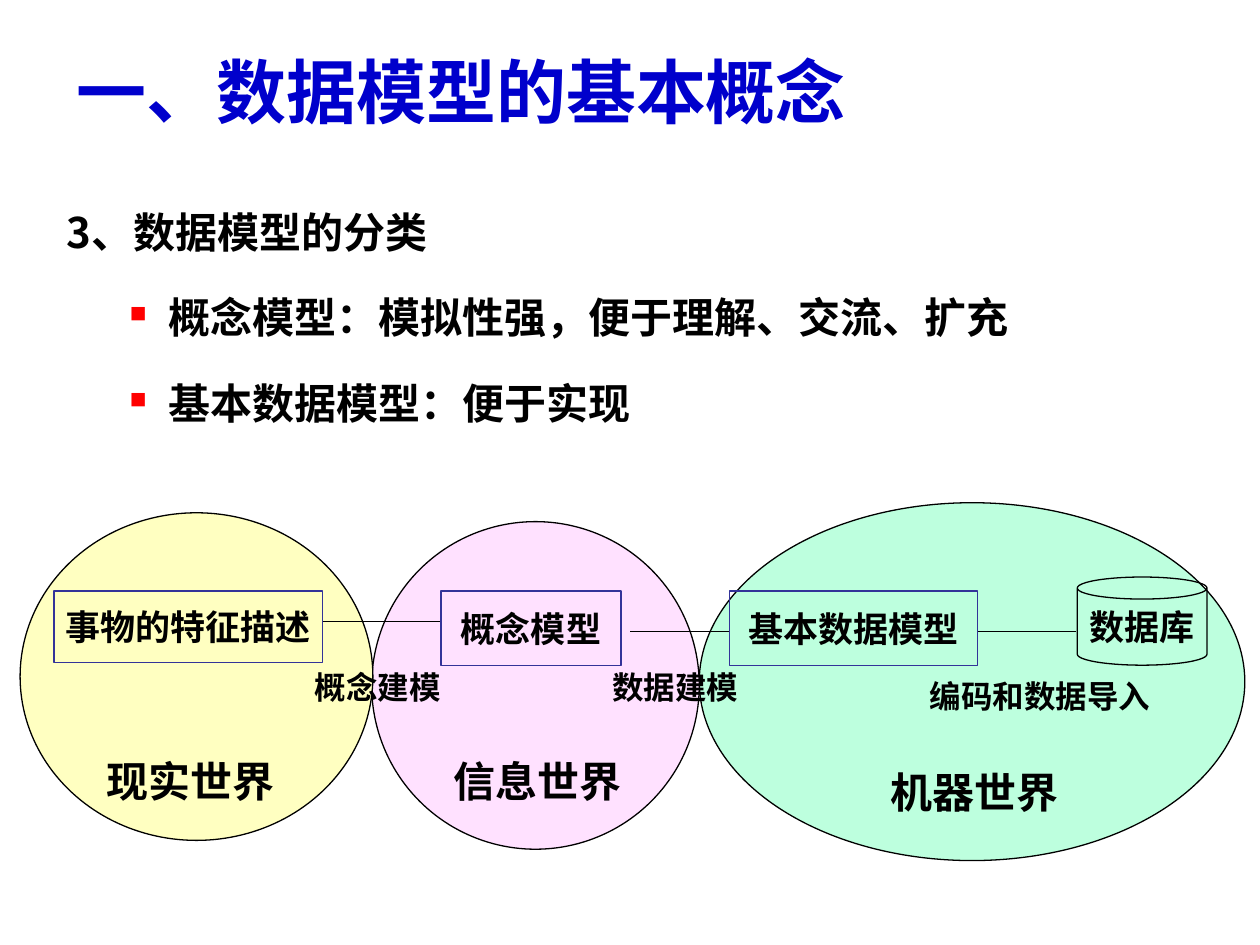
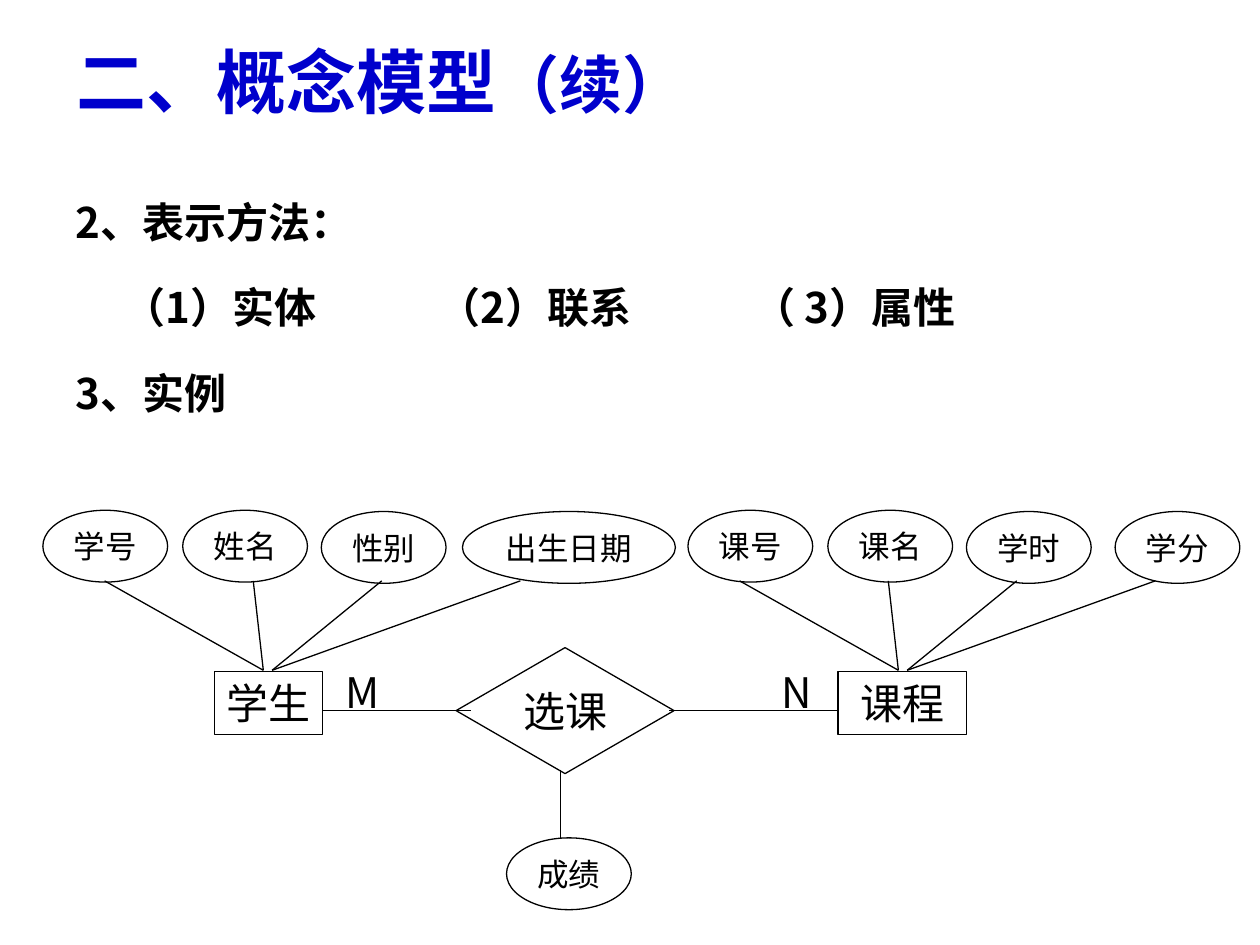
from pptx import Presentation
from pptx.dml.color import RGBColor
from pptx.enum.shapes import MSO_CONNECTOR, MSO_SHAPE
from pptx.enum.text import MSO_ANCHOR, PP_ALIGN
from pptx.oxml.ns import qn
from pptx.util import Inches, Pt
from lxml.etree import SubElement

HUES = {"title": "0000CC", "ink": "000000", "bullet": "FF0000", "frame": "333399",
        "real": "FFFFC1", "info": "FFE1FF", "machine": "BDFFDE"}
SANS = "Noto Sans CJK SC"
LATIN = "Roboto"


class Deck:
    def __init__(self):
        self.prs = Presentation()
        self.prs.slide_width, self.prs.slide_height = Inches(10), Inches(7.5)
        self.slide = None

    def hue(self, name):
        return RGBColor.from_string(HUES[name])

    def page(self):
        self.slide = self.prs.slides.add_slide(self.prs.slide_layouts[6])

    def run(self, para, text, size, bold=False, hue="ink", face=SANS):
        run = para.add_run()
        run.text = text
        font = run.font
        font.size, font.bold, font.name = Pt(size), bold, face
        font.color.rgb = self.hue(hue)
        SubElement(font._element, qn("a:ea")).set("typeface", SANS)

    def frame(self, box, anchor=MSO_ANCHOR.MIDDLE, wrap=True):
        frame = box.text_frame
        frame.word_wrap, frame.vertical_anchor = wrap, anchor
        return frame

    def box(self, *area):
        return self.slide.shapes.add_textbox(*map(Inches, area))

    def title(self, top, *parts):
        para = self.frame(self.box(0.51, top, 8.52, 0.72)).paragraphs[0]
        for text, size in parts:
            self.run(para, text, size, True, "title")

    def body(self, area, lines):
        frame = self.frame(self.box(*area), MSO_ANCHOR.TOP)
        for i, (text, level) in enumerate(lines):
            para = frame.add_paragraph() if i else frame.paragraphs[0]
            para.level = level
            para.line_spacing = Pt(43)
            if i:
                para.space_before = Pt(6)
            self.indent(para, level)
            self.run(para, text, 24, True)

    def indent(self, para, level):
        left, hang = (0.81, -0.31) if level else (0.38, -0.38)
        props = para._p.get_or_add_pPr()
        props.set("marL", str(Inches(left)))
        props.set("indent", str(Inches(hang)))
        if level:
            color = SubElement(props, qn("a:buClr"))
            SubElement(color, qn("a:srgbClr")).set("val", HUES["bullet"])
            SubElement(props, qn("a:buSzPct")).set("val", "55000")
            SubElement(props, qn("a:buChar")).set("char", "■")
        tabs = SubElement(props, qn("a:tabLst"))
        for stop in range(level, level + 8):
            tab = SubElement(tabs, qn("a:tab"))
            tab.set("pos", str(Inches(stop)))
            tab.set("algn", "l")

    def label(self, text, size, area, bold=False, face=SANS):
        para = self.frame(self.box(*area), wrap=False).paragraphs[0]
        self.run(para, text, size, bold, face=face)

    def shape(self, kind, area, text="", size=18, bold=False, face=SANS,
              fill=None, line="ink"):
        shape = self.slide.shapes.add_shape(kind, *map(Inches, area))
        shape.shadow.inherit = False
        if fill:
            shape.fill.solid()
            shape.fill.fore_color.rgb = self.hue(fill)
        else:
            shape.fill.background()
        shape.line.color.rgb, shape.line.width = self.hue(line), Pt(0.75)
        if text:
            para = self.frame(shape, wrap=False).paragraphs[0]
            para.alignment = PP_ALIGN.CENTER
            self.run(para, text, size, bold, face=face)

    def line(self, *ends):
        line = self.slide.shapes.add_connector(MSO_CONNECTOR.STRAIGHT, *map(Inches, ends))
        line.line.color.rgb, line.line.width = self.hue("ink"), Pt(0.75)
        SubElement(line._element.spPr, qn("a:effectLst"))


def worlds(deck):
    deck.page()
    deck.title(0.36, ("一、数据模型的基本概念", 40))
    deck.body((0.43, 1.39, 9.15, 2.13), [
        ("3、数据模型的分类", 0),
        ("概念模型：模拟性强，便于理解、交流、扩充", 1),
        ("基本数据模型：便于实现", 1)])
    # Three worlds
    for fill, area in [("machine", (5.55, 3.99, 4.33, 2.84)),
                       ("info", (2.95, 4.14, 2.6, 2.6)),
                       ("real", (0.16, 4.07, 2.8, 2.6))]:
        deck.shape(MSO_SHAPE.OVAL, area, fill=fill)
    for text, left, top in [("现实世界", 0.75, 5.95), ("信息世界", 3.5, 5.95),
                            ("机器世界", 6.97, 6.03)]:
        deck.label(text, 24, (left, top, 1.58, 0.5), True, LATIN)
    # Steps between the models
    for start, end, y in [(2.56, 3.5, 4.93), (5, 5.79, 5.01), (7.76, 8.54, 5.01)]:
        deck.line(start, y, end, y)
    for text, left, top, width in [("概念建模", 2.4, 5.25, 1.26), ("数据建模", 4.76, 5.25, 1.26),
                                   ("编码和数据导入", 7.28, 5.32, 1.97)]:
        deck.label(text, 18, (left, top, width, 0.4), True, LATIN)
    # Models and database
    for text, left, width, height in [("事物的特征描述", 0.43, 2.13, 0.57),
                                      ("概念模型", 3.5, 1.43, 0.59),
                                      ("基本数据模型", 5.79, 1.97, 0.59)]:
        deck.shape(MSO_SHAPE.RECTANGLE, (left, 4.69, width, height), text, 20, True,
                   LATIN, line="frame")
    deck.shape(MSO_SHAPE.CAN, (8.55, 4.58, 1.03, 0.7), "数据库", 20, True, LATIN)


def example(deck):
    deck.page()
    deck.title(0.28, ("二、概念模型", 40), ("（续）", 36))
    deck.body((0.5, 1.31, 8.52, 2.28), [
        ("2、表示方法：", 0),
        ("\t（1）实体\t\t（2）联系\t\t（ 3）属性", 0),
        ("3、实例", 0)])
    # Entities and their relation
    deck.shape(MSO_SHAPE.RECTANGLE, (1.7, 5.33, 0.86, 0.5), "学生", 24)
    deck.shape(MSO_SHAPE.RECTANGLE, (6.65, 5.33, 1.02, 0.5), "课程", 24)
    deck.shape(MSO_SHAPE.DIAMOND, (3.62, 5.14, 1.73, 1), "选课", 24)
    deck.line(2.56, 5.64, 3.74, 5.64)
    deck.line(5.31, 5.64, 6.65, 5.64)
    deck.label("M", 24, (2.64, 5.24, 0.55, 0.5))
    deck.label("N", 24, (6.1, 5.24, 0.39, 0.5))
    # Attributes fanning out from each entity
    fans = [(0, [("学号", 0.34, 0.99), ("姓名", 1.45, 0.99),
                 ("性别", 2.55, 0.99), ("出生日期", 3.67, 1.69)]),
            (5.04, [("课号", 5.46, 0.99), ("课名", 6.57, 0.99),
                    ("学时", 7.67, 0.99), ("学分", 8.85, 0.99)])]
    rays = [(0.83, 2.09), (2.01, 2.09), (3.03, 2.16), (4.13, 2.16)]
    for shift, names in fans:
        for i, (text, left, width) in enumerate(names):
            top = 4.05 if i < 2 else 4.06
            deck.shape(MSO_SHAPE.OVAL, (left, top, width, 0.57), text)
        for start, end in rays:
            deck.line(start + shift, 4.61, end + shift, 5.32)
    # Attribute of the relation
    deck.shape(MSO_SHAPE.OVAL, (4.02, 6.65, 0.99, 0.57), "成绩")
    deck.line(4.45, 6.11, 4.45, 6.66)


def main():
    deck = Deck()
    worlds(deck)
    example(deck)
    deck.prs.save("out.pptx")


if __name__ == "__main__":
    main()
